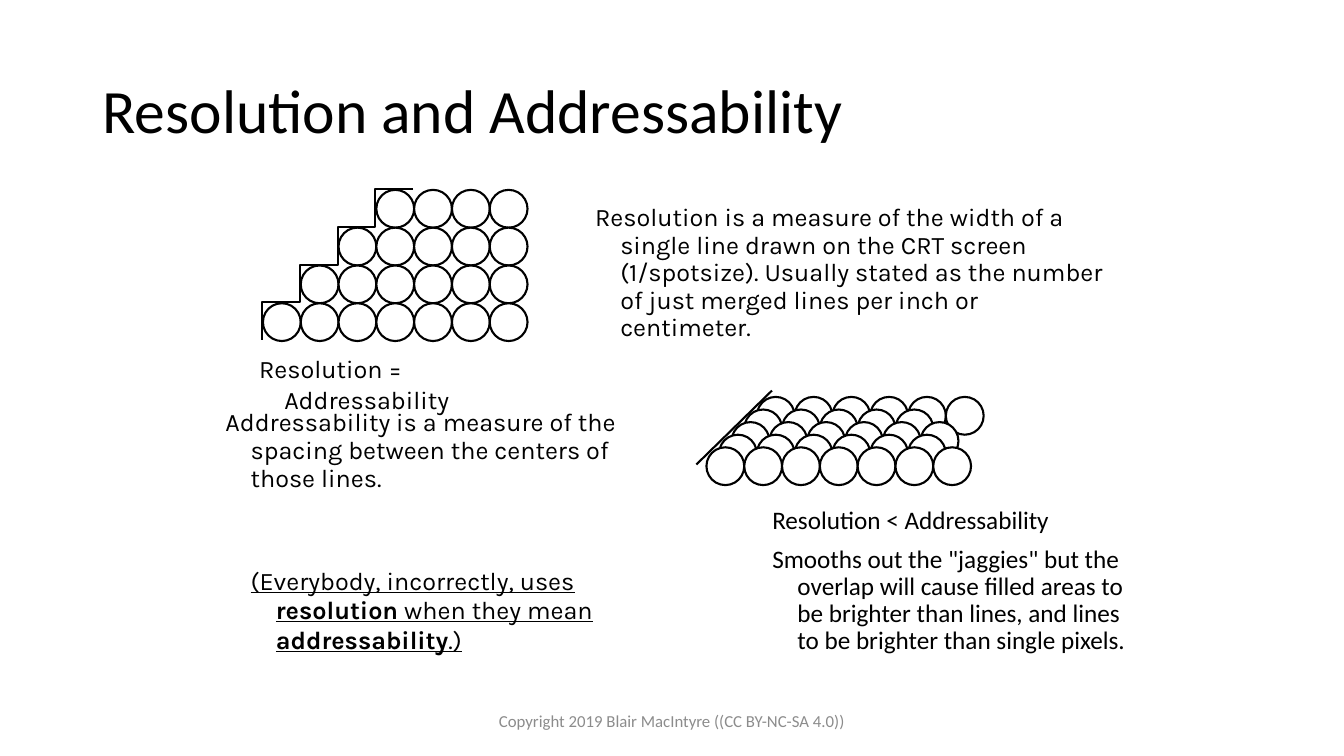
from lxml import etree
from pptx import Presentation
from pptx.dml.color import RGBColor
from pptx.enum.shapes import MSO_CONNECTOR, MSO_SHAPE
from pptx.enum.text import MSO_ANCHOR, MSO_AUTO_SIZE, PP_ALIGN
from pptx.oxml.ns import qn
from pptx.util import Inches, Pt

BLACK = RGBColor(0x00, 0x00, 0x00)
WHITE = RGBColor(0xFF, 0xFF, 0xFF)
GRAY = RGBColor(0x8C, 0x8C, 0x8C)
ELLIPSE = MSO_SHAPE.OVAL
STRAIGHT = MSO_CONNECTOR.STRAIGHT
LEFT, CENTER = PP_ALIGN.LEFT, PP_ALIGN.CENTER
TOP, MIDDLE = MSO_ANCHOR.TOP, MSO_ANCHOR.MIDDLE
FIXED, GROW = MSO_AUTO_SIZE.NONE, MSO_AUTO_SIZE.SHAPE_TO_FIT_TEXT

# The slide is a grid of 160 columns by 90 rows of square cells.
CELL = Inches(1 / 12)
SPOT = 4.5 * CELL
SLANT = SPOT / 3
LINE_WIDTH = Pt(1.5)


def put_text(box, paragraphs, area, font="Karla", size=18, color=BLACK,
             align=LEFT, anchor=TOP, spacing=0.9, hanging=Inches(0.25),
             margins=(0.07, 0.03), fit=GROW, underline=None):
    """Place box on area (in cells) and fill it; a paragraph is a list of (text, bold)."""
    box.left, box.top, box.width, box.height = [round(n * CELL) for n in area]
    frame = box.text_frame
    frame.word_wrap = True
    frame.auto_size = fit
    frame.vertical_anchor = anchor
    frame.margin_left = frame.margin_right = Inches(margins[0])
    frame.margin_top = frame.margin_bottom = Inches(margins[1])
    for index, spans in enumerate(paragraphs):
        para = frame.add_paragraph() if index else frame.paragraphs[0]
        para.alignment = align
        para.line_spacing = spacing
        para.space_before = Pt(0.45 * size if index else 0)
        if hanging:
            properties = para._p.get_or_add_pPr()
            properties.set("marL", str(hanging))
            properties.set("indent", str(-hanging))
        for text, bold in spans:
            span = para.add_run()
            span.text = text
            span.font.name = font
            span.font.size = Pt(size)
            span.font.bold = bold
            span.font.underline = underline
            span.font.color.rgb = color


def add_spot(page, left, top, filled=True):
    spot = page.shapes.add_shape(ELLIPSE, round(left), round(top), round(SPOT), round(SPOT))
    spot.shadow.inherit = False
    if filled:
        spot.fill.solid()
        spot.fill.fore_color.rgb = WHITE
    else:
        spot.fill.background()
    spot.line.color.rgb = BLACK
    spot.line.width = LINE_WIDTH


deck = Presentation()
deck.slide_width, deck.slide_height = 160 * CELL, 90 * CELL
page = deck.slides.add_slide(deck.slide_layouts.get_by_name("Title Only"))

put_text(page.shapes.title, [[("Resolution and Addressability", False)]],
         (11, 4.8, 138, 17.4), font="Calibri", size=44, anchor=MIDDLE,
         hanging=0, margins=(0.1, 0.05), fit=FIXED)

# Staircase of touching spots, with its jagged outline
stairs_left, stairs_top = 31.3 * CELL, 22.6 * CELL
outline = page.shapes.build_freeform(4, 0, scale=SPOT)
corners = []
for step in range(4):
    corners += [(3 - step, step), (3 - step, step + 1)]
outline.add_line_segments(corners, close=False)
jaggies = outline.convert_to_shape(round(31.2 * CELL), round(22.5 * CELL))
jaggies.shadow.inherit = False
jaggies.fill.background()
jaggies.line.color.rgb = BLACK
jaggies.line.width = LINE_WIDTH
for row in range(4):
    first = 3 - row
    for column in range(first, 7):
        add_spot(page, stairs_left + column * SPOT, stairs_top + row * SPOT,
                 filled=column > first)

# Overlapping rows of spots, with a smooth slanted edge
for row, count in enumerate([6, 5, 6, 6, 7]):
    for column in range(count):
        add_spot(page, 90.1 * CELL + column * SPOT - row * SLANT,
                 47.25 * CELL + row * SLANT)
edge = page.shapes.add_connector(STRAIGHT, *[round(n * CELL) for n in (91.9, 46.5, 82.9, 55.3)])
edge.line.color.rgb = BLACK
edge.line.width = LINE_WIDTH
etree.SubElement(edge._element.spPr, qn("a:effectLst"))

notes = [
    ([[("(Everybody, incorrectly, uses ", False), ("resolution", True),
       (" when they mean ", False), ("addressability", True), (".)", False)]],
     (29, 67.1, 44, 16.7), dict(spacing=0.98, underline=True)),
    ([[("Resolution is a measure of the width of a single line drawn on the CRT screen "
        "(1/spotsize). Usually stated as the number of just merged lines per inch or "
        "centimeter.", False)]],
     (70, 24, 63, 13.8), dict(spacing=0.91)),
    ([[("Addressability is a measure of the spacing between the centers of those lines.",
        False)]],
     (26, 48.4, 49, 10.7), dict(spacing=0.92)),
    ([[("Resolution = Addressability", False)]],
     (30, 41.6, 38, 4.3), dict(spacing=1.02)),
    ([[("Resolution < Addressability", False)],
      [('Smooths out the "jaggies" but the overlap will cause filled areas to be brighter '
        "than lines, and lines to be brighter than single pixels.", False)]],
     (91.1, 60.1, 44.9, 18.7), dict(font="Calibri")),
    ([[("Copyright 2019 Blair MacIntyre ((CC BY-NC-SA 4.0))", False)]],
     (53, 83.4, 54, 4.8),
     dict(font="Calibri", size=12, color=GRAY, align=CENTER, anchor=MIDDLE, spacing=1.0,
          hanging=0, margins=(0.1, 0.05), fit=FIXED)),
]
for paragraphs, area, style in notes:
    put_text(page.shapes.add_textbox(0, 0, CELL, CELL), paragraphs, area, **style)

deck.save("out.pptx")
